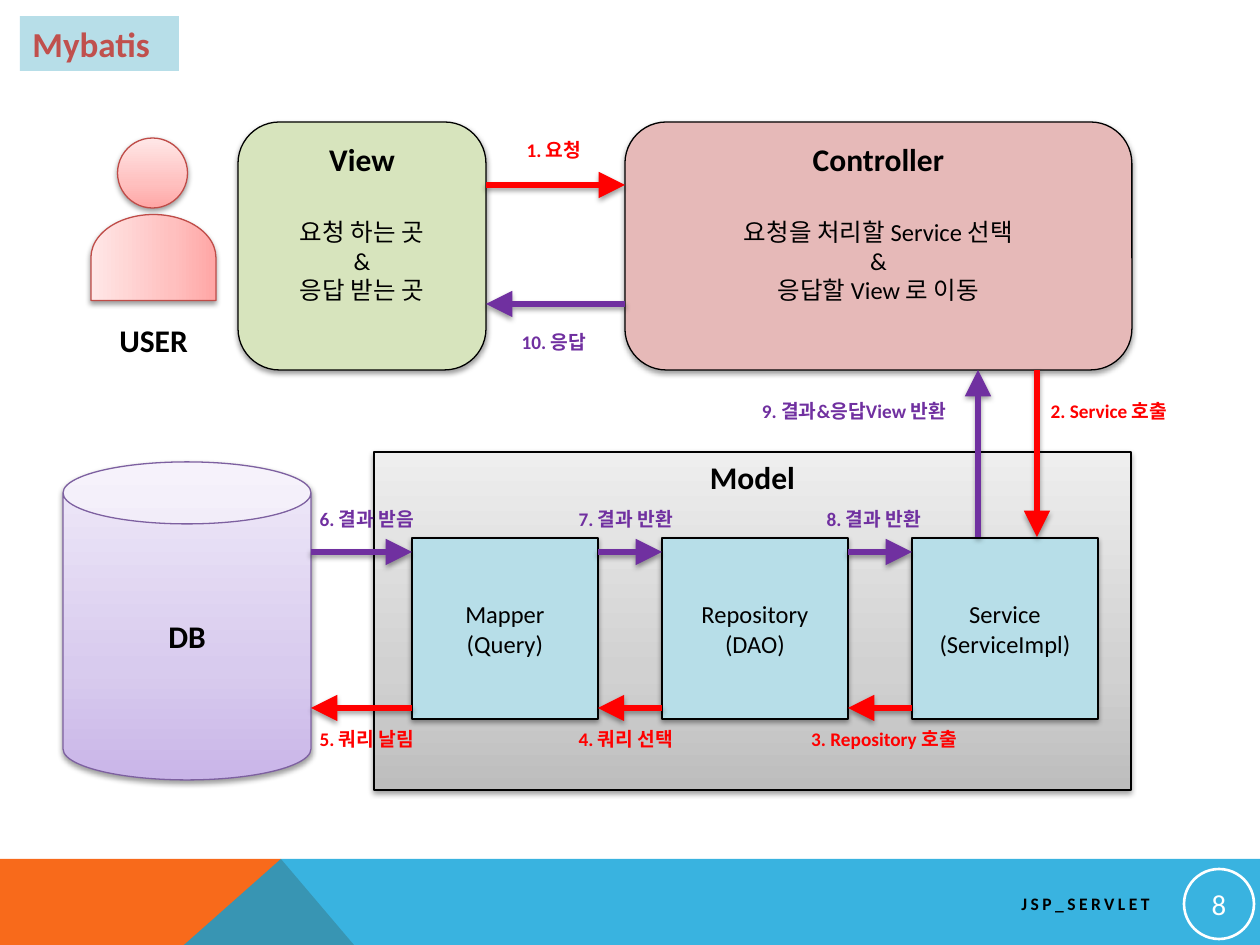
from lxml.etree import SubElement as Sub
from pptx import Presentation
from pptx.dml.color import RGBColor as RGB
from pptx.enum.shapes import MSO_CONNECTOR as LINK, MSO_SHAPE as SHAPE
from pptx.enum.text import MSO_ANCHOR as ANCHOR, PP_ALIGN as ALIGN
from pptx.oxml import parse_xml
from pptx.oxml.ns import nsdecls, qn
from pptx.util import Pt

PX = 914400 / 126
COLORS = {
    "red": "FF0000", "purple": "7030A0", "black": "000000", "white": "FFFFFF",
    "green": "D7E4BD", "pink": "E6B9B8", "aqua": "B7DEE8", "title": "C0504D",
    "orange": "F86A1B", "blue": "08A0D9", "skin": "BF4C48", "violet": "7D60A0",
}
# Gradient stops at 0, 35 and 100 percent, from the bottom up
GRADS = {
    "grey": ("BDBDBD", "D1D1D1", "EEEEEE"),
    "rose": ("FFA6A5", "FFC0BF", "FFE7E7"),
    "lilac": ("C9B5E8", "D8CBEE", "F0EAF9"),
}


def px(*vals):
    return [round(v * PX) for v in vals]


def rgb(name):
    return RGB.from_string(COLORS[name])


def shade(props):
    """Soft shadow below a shape or line."""
    effects = props.find(qn("a:effectLst"))
    if effects is None:
        effects = Sub(props, qn("a:effectLst"))
    outer = Sub(effects, qn("a:outerShdw"), blurRad=str(Pt(3.1)),
                dist=str(Pt(1.6)), dir="5400000", rotWithShape="0")
    tone = Sub(outer, qn("a:srgbClr"), val=COLORS["black"])
    Sub(tone, qn("a:alpha"), val="38000")


def paint(shape, fill, line=None, width=0.75, shadow=True):
    if fill in GRADS:
        stops = "".join(
            f'<a:gs pos="{pos}000"><a:srgbClr val="{tone}"/></a:gs>'
            for pos, tone in zip((0, 35, 100), GRADS[fill]))
        shape._element.spPr.insert(2, parse_xml(
            f'<a:gradFill {nsdecls("a")} rotWithShape="1"><a:gsLst>{stops}'
            '</a:gsLst><a:lin ang="16200000" scaled="0"/></a:gradFill>'))
    elif fill:
        shape.fill.solid()
        shape.fill.fore_color.rgb = rgb(fill)
    else:
        shape.fill.background()
    if line:
        shape.line.color.rgb = rgb(line)
        shape.line.width = Pt(width)
    else:
        shape.line.fill.background()
    shape.shadow.inherit = False
    if shadow:
        shade(shape._element.spPr)


def write(shape, lines, size, color="black", bold=False, align=ALIGN.CENTER,
          anchor=ANCHOR.MIDDLE):
    frame = shape.text_frame
    frame.word_wrap = True
    frame.vertical_anchor = anchor
    frame.text = "\n".join(lines)
    for para in frame.paragraphs:
        para.alignment = align
        font = para.font
        font.name, font.size, font.bold = "Calibri", Pt(size), bold
        font.color.rgb = rgb(color)
    return frame.paragraphs


def block(slide, kind, box, fill, line="black", **more):
    shape = slide.shapes.add_shape(kind, *px(*box))
    paint(shape, fill, line, **more)
    return shape


def arrow(slide, x1, y1, x2, y2, color):
    link = slide.shapes.add_connector(LINK.STRAIGHT, *px(x1, y1, x2, y2))
    link.line.color.rgb = rgb(color)
    link.line.width = Pt(3)
    Sub(link.line._get_or_add_ln(), qn("a:tailEnd"), type="triangle",
        w="lg", len="lg")
    shade(link._element.spPr)


def label(slide, mid, top, text, color, size=11, width=142):
    box = slide.shapes.add_textbox(*px(mid - width / 2, top, width, 36))
    write(box, [text], size, color, True, anchor=ANCHOR.TOP)


def footer(slide, x, y, w, h):
    peak = x + 281
    bands = (
        ("orange", [(peak, y), (x, y), (x, y + h), (x + 354, y + h)]),
        ("blue", [(peak, y), (x + 184, y + h), (x + w, y + h), (x + w, y)]),
    )
    for color, points in bands:
        path = slide.shapes.build_freeform(*points[0], scale=PX)
        path.add_line_segments(points[1:])
        band = path.convert_to_shape()
        paint(band, color, shadow=False)
    tone = band._element.spPr.find(qn("a:solidFill"))[0]
    Sub(tone, qn("a:alpha"), val="80000")

    name = slide.shapes.add_textbox(*px(x + 511, y + 26, 651, 38))
    para = write(name, ["JSP_SERVLET"], 10, bold=True, align=ALIGN.RIGHT)[0]
    para.runs[0]._r.get_or_add_rPr().set("spc", "200")
    disc = block(slide, SHAPE.OVAL, (x + w - 76, y + 10, 70, 70), None,
                 "white", width=1.5, shadow=False)
    frame = disc.text_frame
    frame.margin_left = frame.margin_right = px(1)[0]
    frame.margin_top = frame.margin_bottom = px(1)[0]
    write(disc, ["8"], 16.5, "white")


def heading(slide, x, y, w, h):
    tag = block(slide, SHAPE.RECTANGLE, (x, y, w, h), "aqua", None, shadow=False)
    write(tag, ["Mybatis"], 20, "title", True, ALIGN.LEFT, ANCHOR.TOP)


def user(slide, x, y, w):
    mid = x + w / 2
    block(slide, SHAPE.OVAL, (mid - 36, y, 70, 70), "rose", "skin")
    body = block(slide, SHAPE.FLOWCHART_DELAY, (mid - 43, y + 57, 86, w),
                 "rose", "skin")
    body.rotation = 270
    label(slide, mid, y + 177, "USER", "black", 18)


def panel(slide, box, fill, lines):
    card = block(slide, SHAPE.ROUNDED_RECTANGLE, box, fill)
    paras = write(card, lines, 14, anchor=ANCHOR.TOP)
    paras[0].font.size, paras[0].font.bold = Pt(18), True
    paras[1].space_before = Pt(22)


def model(slide, x, y, w, h):
    frame = block(slide, SHAPE.FLOWCHART_PROCESS, (x, y, w, h), "grey")
    write(frame, ["Model"], 18, bold=True, anchor=ANCHOR.TOP)
    store = block(slide, SHAPE.CAN, (x - 311, y + 10, 248, 318), "lilac", "violet")
    write(store, ["DB"], 18, bold=True)

    # Each layer has a result arrow above and a call arrow below on its left
    layers = (
        (["Mapper", "(Query)"], "6. 결과 받음", "5. 쿼리 날림", -7, -7),
        (["Repository", "(DAO)"], "7. 결과 반환", "4. 쿼리 선택", 252, 252),
        (["Service", "(ServiceImpl)"], "8. 결과 반환", "3. Repository 호출", 500, 510),
    )
    last = x - 63
    for i, (lines, back, call, high, low) in enumerate(layers):
        left = x + 38 + 250 * i
        card = block(slide, SHAPE.RECTANGLE, (left, y + 86, 186, 181), "aqua")
        write(card, lines, 14)
        arrow(slide, last, y + 100, left, y + 100, "purple")
        arrow(slide, left, y + 256, last, y + 256, "red")
        label(slide, x + high, y + 49, back, "purple")
        label(slide, x + low, y + 269, call, "red", width=220)
        last = left + 186


def flow(slide, x, y):
    """Arrows around the lower left corner of the controller."""
    arrow(slide, x - 139, y - 185, x, y - 185, "red")
    arrow(slide, x, y - 66, x - 139, y - 66, "purple")
    arrow(slide, x + 412, y, x + 412, y + 167, "red")
    arrow(slide, x + 353, y + 167, x + 353, y, "purple")
    label(slide, x - 71, y - 238, "1. 요청", "red")
    label(slide, x - 71, y - 46, "10. 응답", "purple")
    label(slide, x + 484, y + 23, "2. Service 호출", "red", width=180)
    label(slide, x + 229, y + 23, "9. 결과&응답View 반환", "purple", width=260)


deck = Presentation()
deck.slide_width, deck.slide_height = px(1260, 945)
page = deck.slides.add_slide(deck.slide_layouts[6])
footer(page, 0, 859, 1260, 86)
heading(page, 20, 16, 159, 55)
user(page, 91, 138, 125)
panel(page, (238, 122, 248, 248), "green",
      ["View", "요청 하는 곳", "&", "응답 받는 곳"])
panel(page, (625, 122, 507, 248), "pink",
      ["Controller", "요청을 처리할 Service 선택", "&", "응답할 View 로 이동"])
model(page, 374, 452, 757, 338)
flow(page, 625, 370)
deck.save("out.pptx")
